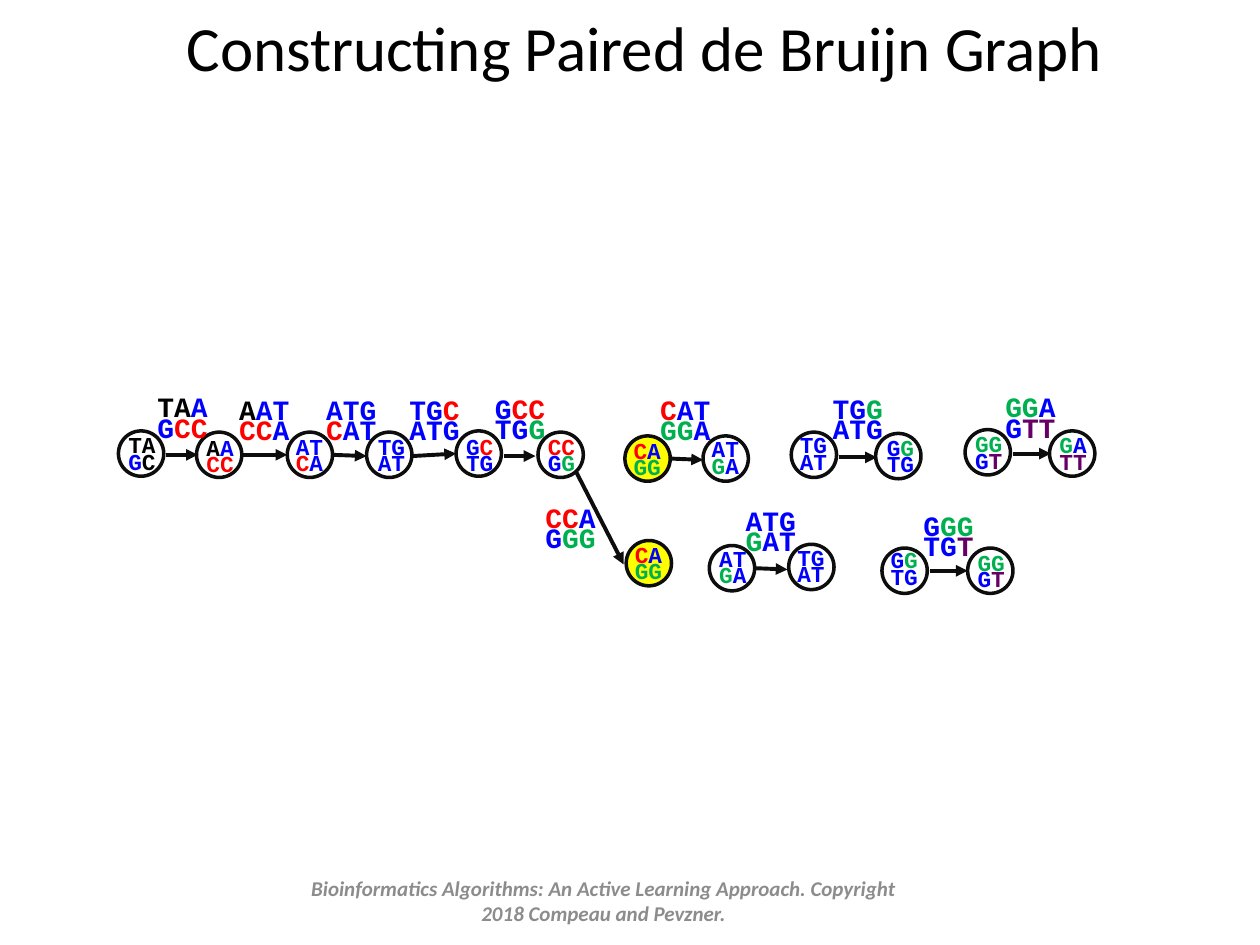
"""Build the paired de Bruijn graph construction slide."""
import pptx
import pptx.util
import pptx.dml.color
import pptx.enum.shapes
import pptx.enum.text
import pptx.oxml
import lxml.etree

Inches, Pt = pptx.util.Inches, pptx.util.Pt
RGBColor = pptx.dml.color.RGBColor
BLACK = RGBColor(0x00, 0x00, 0x00)
BLUE = RGBColor(0x00, 0x00, 0xFF)
RED = RGBColor(0xFF, 0x00, 0x00)
GREEN = RGBColor(0x00, 0xB0, 0x50)
PURPLE = RGBColor(0x66, 0x00, 0x66)
YELLOW = RGBColor(0xFF, 0xFF, 0x00)
INK = RGBColor(0x0D, 0x0D, 0x0D)
GRAY = RGBColor(0x8C, 0x8C, 0x8C)
COLORS = {"k": BLACK, "b": BLUE, "r": RED, "g": GREEN, "p": PURPLE}

TITLE = "Constructing Paired de Bruijn Graph"
FOOTER = ("Bioinformatics Algorithms: An Active Learning Approach. "
          "Copyright 2018 Compeau and Pevzner.")
DIAMETER = 0.36

# (circle left, top), (text left, top), letters, letter colours, fill
NODES = [
    ((0.94, 3.42), (0.92, 3.45), "TA/GC", "kk/bk", None),
    ((1.56, 3.43), (1.54, 3.47), "AA/CC", "kb/rr", None),
    ((2.28, 3.43), (2.25, 3.46), "AT/CA", "bb/rb", None),
    ((2.91, 3.43), (2.90, 3.46), "TG/AT", "bb/bb", None),
    ((3.62, 3.42), (3.60, 3.46), "GC/TG", "br/bb", None),
    ((4.27, 3.43), (4.25, 3.46), "CC/GG", "rr/bg", None),
    ((4.97, 4.29), (4.94, 4.32), "CA/GG", "rb/gg", YELLOW),
    ((4.96, 3.46), (4.93, 3.49), "CA/GG", "rb/gg", YELLOW),
    ((5.58, 3.46), (5.55, 3.48), "AT/GA", "bb/gb", None),
    ((5.63, 4.33), (5.61, 4.35), "AT/GA", "bb/gb", None),
    ((6.26, 4.32), (6.23, 4.34), "TG/AT", "bb/bb", None),
    ((6.28, 3.43), (6.25, 3.45), "TG/AT", "bb/bb", None),
    ((6.95, 3.44), (6.94, 3.47), "GG/TG", "bg/bb", None),
    ((7.00, 4.35), (6.97, 4.36), "GG/TG", "bg/bb", None),
    ((7.68, 4.35), (7.66, 4.38), "GG/GT", "gg/bp", None),
    ((7.66, 3.41), (7.64, 3.44), "GG/GT", "gg/bp", None),
    ((8.33, 3.42), (8.31, 3.45), "GA/TT", "gb/pp", None),
]

# arrow start, arrow end, (text left, top), letters, letter colours
EDGES = [
    ((1.32, 3.61), (1.57, 3.61), (1.15, 3.14), "TAA/GCC", "kkb/brr"),
    ((1.92, 3.61), (2.28, 3.61), (1.80, 3.16), "AAT/CCA", "kbb/rrb"),
    ((2.64, 3.61), (2.91, 3.62), (2.49, 3.16), "ATG/CAT", "bbb/rbb"),
    ((3.27, 3.62), (3.62, 3.60), (3.15, 3.16), "TGC/ATG", "bbr/bbb"),
    ((4.00, 3.62), (4.25, 3.62), (3.83, 3.15), "GCC/TGG", "brr/bbg"),
    ((4.57, 3.74), (4.95, 4.48), (4.23, 4.02), "CCA/GGG", "rrb/bgg"),
    ((5.33, 3.64), (5.58, 3.65), (5.14, 3.16), "CAT/GGA", "rbb/ggb"),
    ((6.00, 4.51), (6.25, 4.52), (5.82, 4.04), "ATG/GAT", "bbb/gbb"),
    ((6.66, 3.63), (6.96, 3.63), (6.51, 3.15), "TGG/ATG", "bbg/bbb"),
    ((7.38, 4.53), (7.68, 4.53), (7.23, 4.08), "GGG/TGT", "bgg/bbp"),
    ((8.04, 3.60), (8.34, 3.60), (7.88, 3.14), "GGA/GTT", "ggb/bpp"),
]


def add_arrow(s, start, end):
    kind = pptx.enum.shapes.MSO_CONNECTOR.STRAIGHT
    sp = s.shapes.add_connector(kind, *map(Inches, start + end))
    sp.line.color.rgb, sp.line.width = INK, Pt(2.25)
    ln, ns = sp.line._get_or_add_ln(), pptx.oxml.ns.qn
    lxml.etree.SubElement(ln, ns("a:tailEnd"), type="triangle")
    lxml.etree.SubElement(sp._element.spPr, ns("a:effectLst"))


def add_circle(s, at, fill):
    size = Inches(DIAMETER)
    sp = s.shapes.add_shape(pptx.enum.shapes.MSO_SHAPE.OVAL, *map(Inches, at), size, size)
    sp.shadow.inherit = False
    sp.line.color.rgb, sp.line.width = INK, Pt(2)
    if fill is None:
        sp.fill.background()
    else:
        sp.fill.solid()
        sp.fill.fore_color.rgb = fill


def add_pair(s, at, letters, colors, size, width, height):
    sp = s.shapes.add_textbox(*map(Inches, at + (width, height)))
    tf = sp.text_frame
    tf.word_wrap = False
    for i, (row, codes) in enumerate(zip(letters.split("/"), colors.split("/"))):
        p = tf.add_paragraph() if i else tf.paragraphs[0]
        p.line_spacing = 0.6
        for letter, code in zip(row, codes):
            r = p.add_run()
            r.text = letter
            r.font.name, r.font.size, r.font.bold = "Courier New", Pt(size), True
            r.font.color.rgb = COLORS[code]


def add_line_of_text(s, text, box, size, color, emphasis):
    sp = s.shapes.add_textbox(*map(Inches, box))
    tf = sp.text_frame
    tf.word_wrap = True
    tf.vertical_anchor = pptx.enum.text.MSO_ANCHOR.MIDDLE
    tf.text = text
    p = tf.paragraphs[0]
    p.alignment = pptx.enum.text.PP_ALIGN.CENTER
    f = p.runs[0].font
    f.name, f.size, f.color.rgb = "Calibri", Pt(size), color
    f.bold = f.italic = emphasis


def main():
    prs = pptx.Presentation()
    prs.slide_width, prs.slide_height = Inches(10), Inches(7.5)
    s = prs.slides.add_slide(prs.slide_layouts[6])
    add_line_of_text(s, TITLE, (0.07, 0.01, 10.09, 0.71), 36, BLACK, False)
    for at, text_at, letters, colors, fill in NODES:
        add_circle(s, at, fill)
        add_pair(s, text_at, letters, colors, 13, 0.42, 0.36)
    for start, end, text_at, letters, colors in EDGES:
        add_arrow(s, start, end)
        add_pair(s, text_at, letters, colors, 16, 0.61, 0.42)
    add_line_of_text(s, FOOTER, (2.25, 6.95, 5.08, 0.4), 12, GRAY, True)
    prs.save("out.pptx")


if __name__ == "__main__":
    main()
